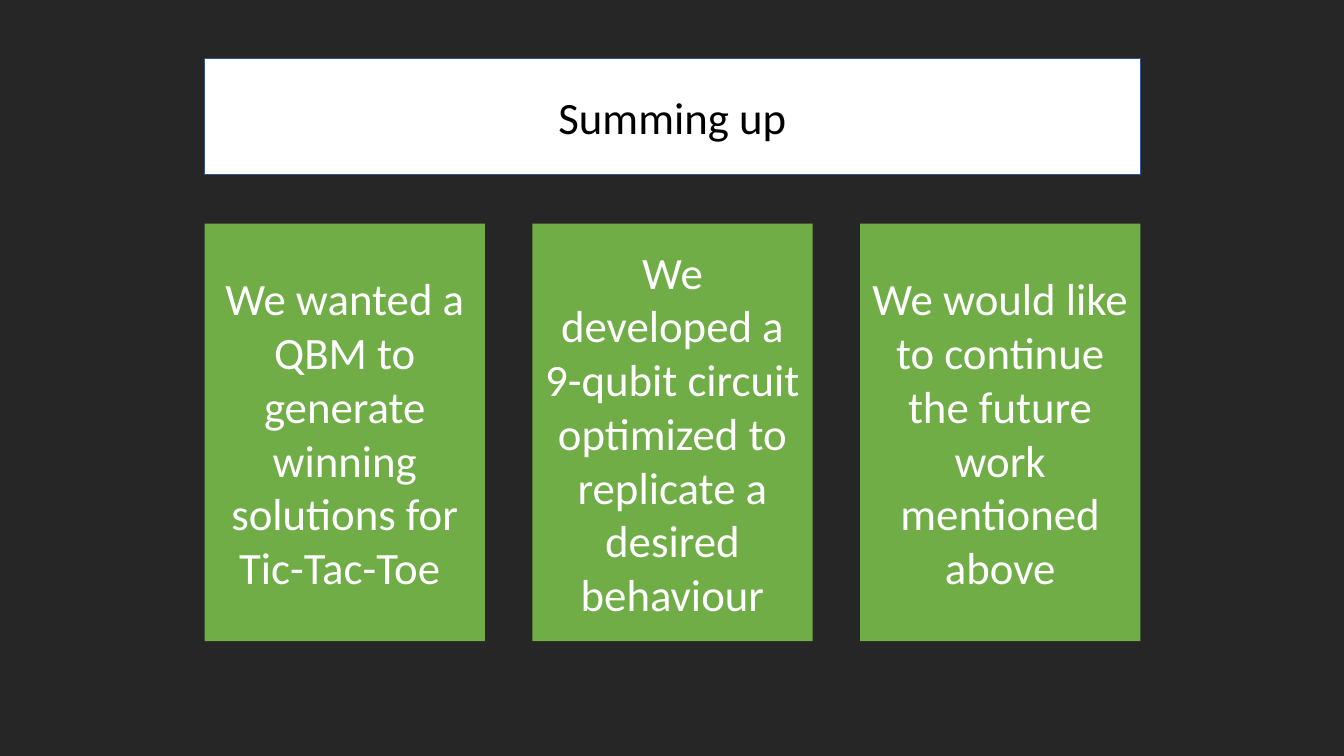
from pptx import Presentation
from pptx.dml.color import RGBColor
from pptx.enum import shapes, text
from pptx.util import Inches, Pt

BACKDROP = RGBColor(0x26, 0x26, 0x26)
WHITE = RGBColor(0xFF, 0xFF, 0xFF)
BLACK = RGBColor(0x00, 0x00, 0x00)
GREEN = RGBColor(0x70, 0xAD, 0x47)
BLUE = RGBColor(0x32, 0x54, 0x91)

LEFT = 2.03
CARD_WIDTH = 2.78
CARD_PITCH = 3.25
HEADING = "Summing up"
CONCLUSIONS = [
    "We wanted a QBM to generate winning solutions for Tic-Tac-Toe ",
    "We developed a 9-qubit circuit optimized to replicate a desired behaviour",
    "We would like to continue the future work mentioned above",
]
FRAME_FORMAT = {
    "word_wrap": True,
    "auto_size": text.MSO_AUTO_SIZE.NONE,
    "vertical_anchor": text.MSO_ANCHOR.MIDDLE,
}
FONT_FORMAT = {"name": "Calibri", "size": Pt(32)}


def apply_format(target, values):
    for attribute, value in values.items():
        setattr(target, attribute, value)


def fill_panel(panel, wording, fill, ink):
    panel.fill.solid()
    panel.fill.fore_color.rgb = fill
    frame = panel.text_frame
    frame.text = wording
    apply_format(frame, FRAME_FORMAT)
    paragraph = frame.paragraphs[0]
    paragraph.alignment = text.PP_ALIGN.CENTER
    font = paragraph.runs[0].font
    apply_format(font, FONT_FORMAT)
    font.color.rgb = ink


def add_heading(slide):
    heading = slide.shapes.title
    place = {"left": LEFT, "top": 0.58, "width": 9.28, "height": 1.15}
    apply_format(heading, {side: Inches(size) for side, size in place.items()})
    fill_panel(heading, HEADING, WHITE, BLACK)
    heading.line.color.rgb = BLUE
    heading.line.width = Pt(1)


def add_conclusion(slide, column, wording):
    card = slide.shapes.add_shape(
        shapes.MSO_SHAPE.RECTANGLE,
        Inches(LEFT + column * CARD_PITCH), Inches(2.22),
        Inches(CARD_WIDTH), Inches(4.14),
    )
    card.shadow.inherit = False
    card.line.fill.background()
    fill_panel(card, wording, GREEN, WHITE)


def main():
    deck = Presentation()
    deck.slide_width, deck.slide_height = Inches(13.33), Inches(7.5)
    slide = deck.slides.add_slide(deck.slide_layouts[5])
    slide.background.fill.solid()
    slide.background.fill.fore_color.rgb = BACKDROP
    add_heading(slide)
    for column, wording in enumerate(CONCLUSIONS):
        add_conclusion(slide, column, wording)
    deck.save("out.pptx")


if __name__ == "__main__":
    main()
